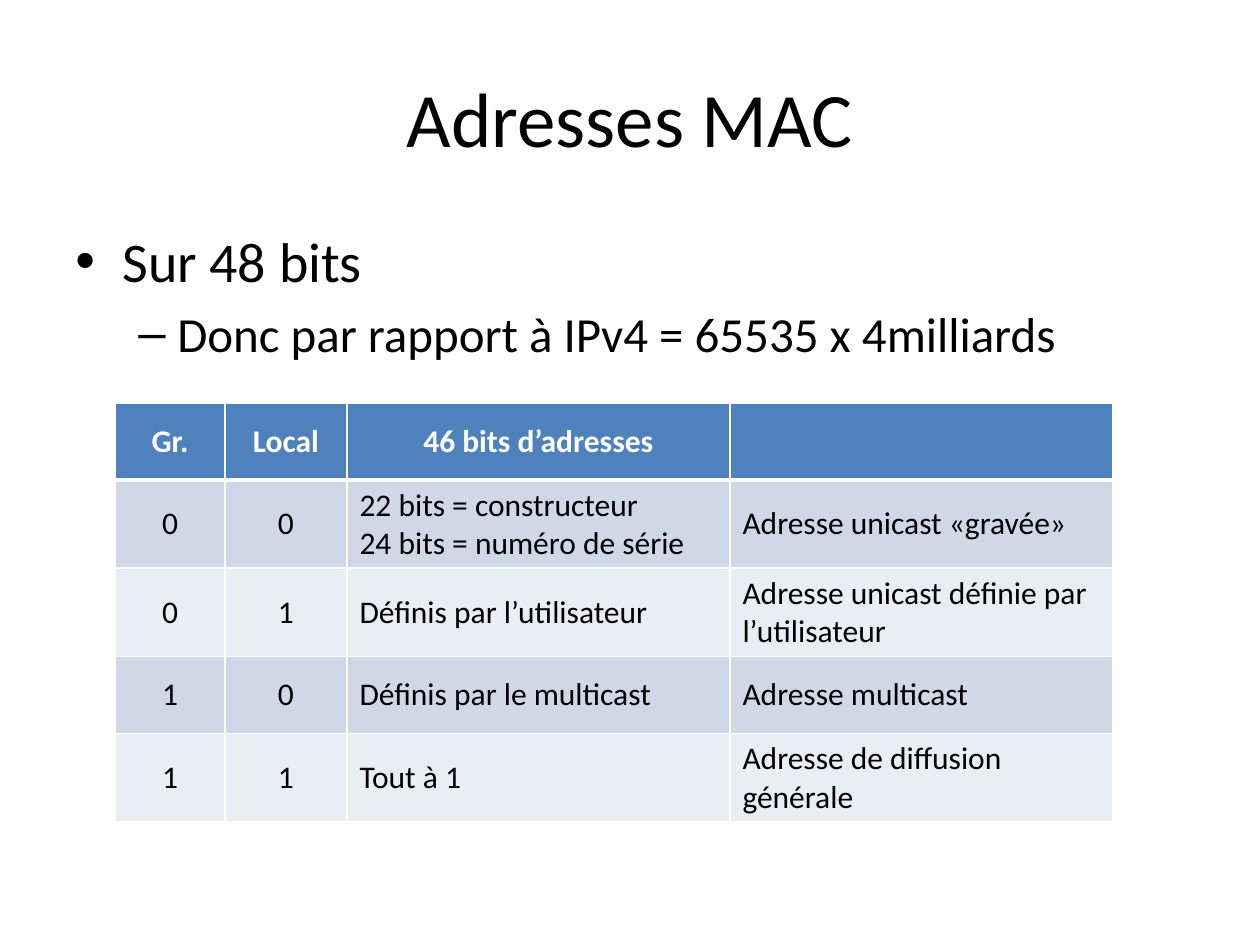
from lxml.etree import SubElement
from pptx import Presentation
from pptx.dml.color import RGBColor
from pptx.enum.text import MSO_ANCHOR as Anchor, PP_ALIGN as Align
from pptx.oxml.ns import qn
from pptx.util import Pt

TITLE = "Adresses MAC"
# text, size, left margin px, hanging indent px, bullet
BULLETS = [
    ("Sur 48 bits", 32, 47, 47, "•"),
    ("Donc par rapport à IPv4 = 65535 x 4milliards", 28, 102, 39, "–"),
]
ROWS = [
    ("Gr.", "Local", "46 bits d’adresses", ""),
    ("0", "0", "22 bits = constructeur\n24 bits = numéro de série",
     "Adresse unicast «gravée»"),
    ("0", "1", "Définis par l’utilisateur",
     "Adresse unicast définie par l’utilisateur"),
    ("1", "0", "Définis par le multicast", "Adresse multicast"),
    ("1", "1", "Tout à 1", "Adresse de diffusion générale"),
]
COLUMN_WIDTHS = [110, 122, 383, 383]
ROW_HEIGHT = 77
FONT = "Calibri"
COLORS = {"text": "000000", "white": "FFFFFF", "header": "4F81BD",
          "odd": "D0D8E8", "even": "E9EDF4"}


def px(length):
    return round(length * 914400 / 126)


def add_span(para, text, size, color="text", bold=False):
    span = para.add_run()
    span.text = text
    font = span.font
    font.name, font.size, font.bold = FONT, Pt(size), bold
    font.color.rgb = RGBColor.from_string(COLORS[color])


def add_box(page, left, top, width, height, anchor):
    frame = page.shapes.add_textbox(*map(px, (left, top, width, height))).text_frame
    frame.word_wrap = True
    frame.vertical_anchor = anchor
    return frame


def set_bullet(para, margin, hanging, char):
    props = para._p.get_or_add_pPr()
    props.set("marL", str(px(margin)))
    props.set("indent", str(-px(hanging)))
    before = SubElement(props, qn("a:spcBef"))
    SubElement(before, qn("a:spcPct"), val="20000")
    SubElement(props, qn("a:buFont"), typeface="Arial")
    SubElement(props, qn("a:buChar"), char=char)


def set_borders(cell, bottom):
    props = cell._tc.get_or_add_tcPr()
    for place, (side, width) in enumerate(
            [("lnL", 1), ("lnR", 1), ("lnT", 1), ("lnB", bottom)]):
        line = SubElement(props, qn(f"a:{side}"), w=str(Pt(width)))
        fill = SubElement(line, qn("a:solidFill"))
        SubElement(fill, qn("a:srgbClr"), val=COLORS["white"])
        props.insert(place, line)  # borders come before the cell fill


def fill_cell(cell, text, row, column):
    header = row == 0
    shade = "header" if header else ("odd" if row % 2 else "even")
    cell.fill.solid()
    cell.fill.fore_color.rgb = RGBColor.from_string(COLORS[shade])
    cell.vertical_anchor = Anchor.MIDDLE
    frame = cell.text_frame
    for number, line in enumerate(text.split("\n") if text else []):
        para = frame.add_paragraph() if number else frame.paragraphs[0]
        para.alignment = Align.CENTER if header or column < 2 else Align.LEFT
        add_span(para, line, 18, "white" if header else "text", header)
    # the header row has a thick line under it, shared with the row below
    set_borders(cell, 3 if header else 1)
    if row == 1:
        cell._tc.tcPr.find(qn("a:lnT")).set("w", str(Pt(3)))


def main():
    deck = Presentation()
    deck.slide_width, deck.slide_height = px(1260), px(945)
    page = deck.slides.add_slide(deck.slide_layouts[6])

    # Title
    para = add_box(page, 63, 38, 1134, 157, Anchor.MIDDLE).paragraphs[0]
    para.alignment = Align.CENTER
    add_span(para, TITLE, 44)

    # Bulleted text
    frame = add_box(page, 63, 220, 1134, 624, Anchor.TOP)
    for level, (text, size, margin, hanging, char) in enumerate(BULLETS):
        para = frame.add_paragraph() if level else frame.paragraphs[0]
        para.level = level
        set_bullet(para, margin, hanging, char)
        add_span(para, text, size)

    # Address table
    table = page.shapes.add_table(
        len(ROWS), len(COLUMN_WIDTHS), px(115), px(403),
        px(sum(COLUMN_WIDTHS)), px(ROW_HEIGHT * len(ROWS))).table
    for column, width in zip(table.columns, COLUMN_WIDTHS):
        column.width = px(width)
    for row, texts in enumerate(ROWS):
        table.rows[row].height = px(ROW_HEIGHT)
        for column, text in enumerate(texts):
            fill_cell(table.cell(row, column), text, row, column)

    deck.save("out.pptx")


if __name__ == "__main__":
    main()
